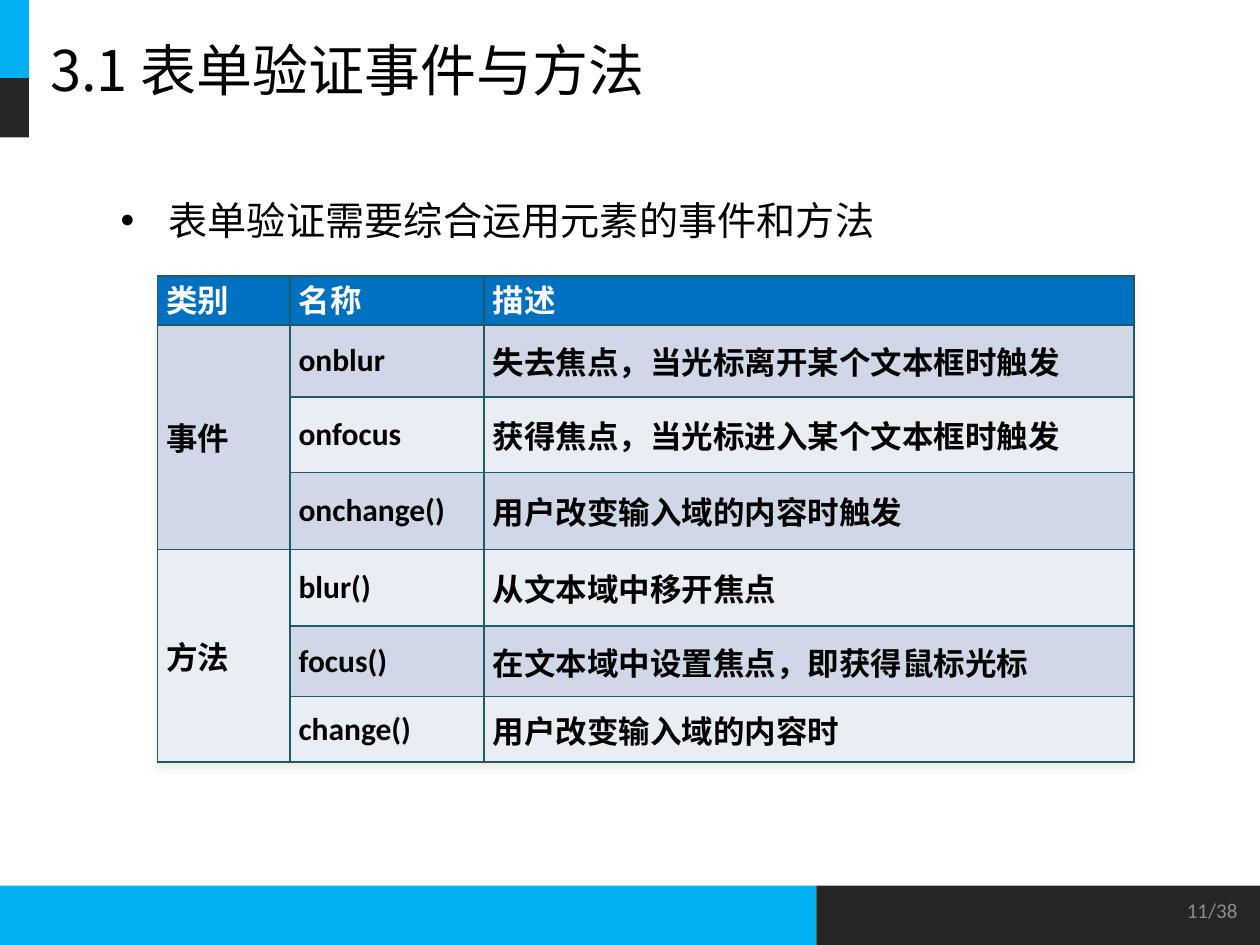
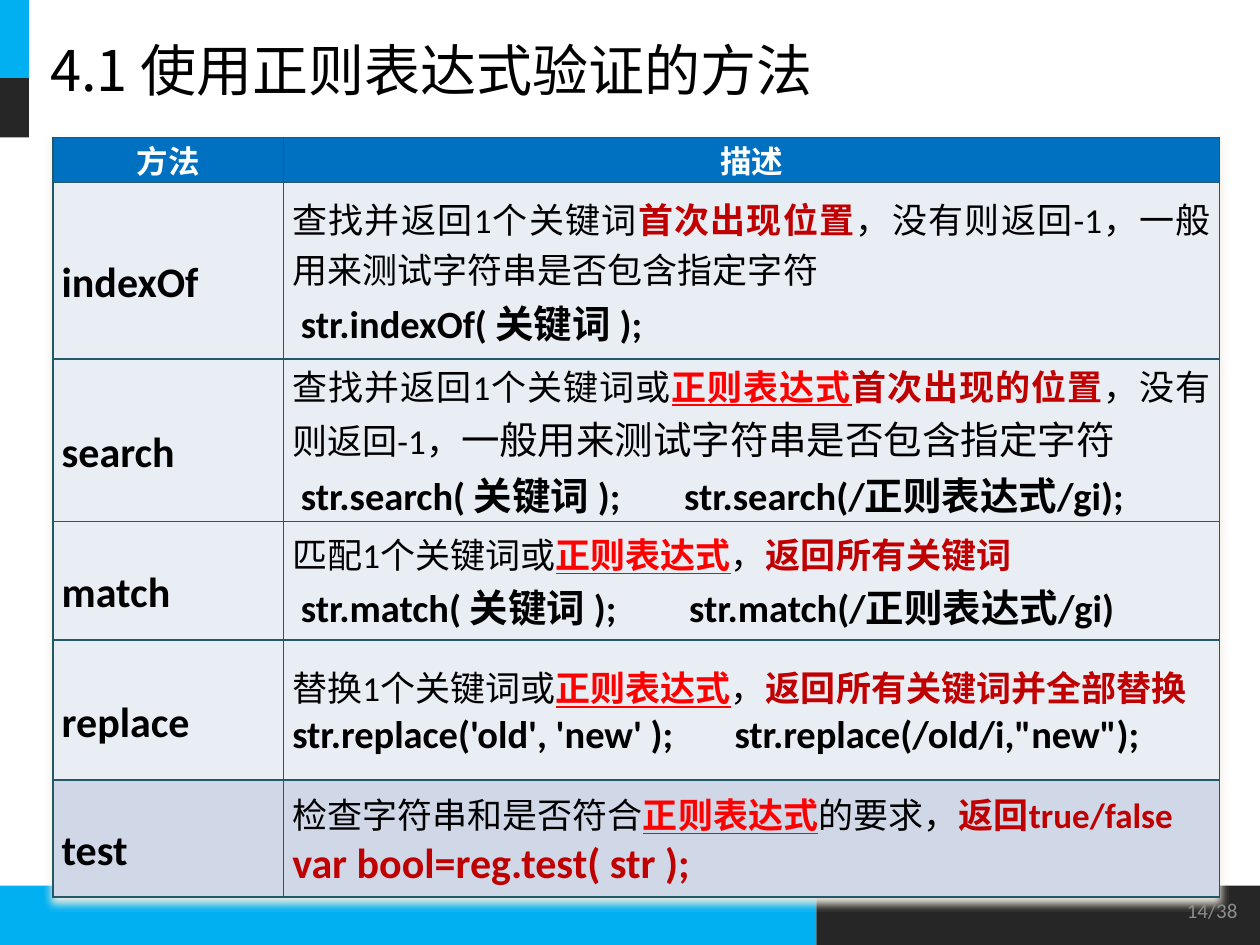
from lxml import etree
from pptx import Presentation
from pptx.dml.color import RGBColor
from pptx.enum.shapes import MSO_SHAPE as Shape
from pptx.enum.text import MSO_ANCHOR as Anchor, PP_ALIGN as Align
from pptx.oxml.ns import qn
from pptx.util import Inches, Pt

COLORS = {
    "sky": "00B0F0", "charcoal": "262626", "ink": "000000", "white": "FFFFFF",
    "header": "0070C0", "band": "D0D8E8", "pale": "E9EDF4", "grid": "215968",
    "page": "8C8C8C", "key": "C00000", "regex": "FF0000", "shadow": "EEECE1",
}
LATIN, CJK = "Calibri", "Noto Sans CJK SC"

RUN_STYLES = {
    "plain": {},
    "key": {"color": "key", "bold": True},
    "regex": {"color": "regex", "bold": True, "underline": True},
    "code": {"bold": True},
}

EVENT_COLS = [1.05, 1.54, 5.16]
EVENT_ROWS = [0.39, 0.57, 0.6, 0.61, 0.61, 0.56, 0.52]
EVENT_HEADER = ["类别", "名称", "描述"]
EVENT_GROUPS = {
    "事件": [("onblur", "失去焦点，当光标离开某个文本框时触发"),
           ("onfocus", "获得焦点，当光标进入某个文本框时触发"),
           ("onchange()", "用户改变输入域的内容时触发")],
    "方法": [("blur()", "从文本域中移开焦点"),
           ("focus()", "在文本域中设置焦点，即获得鼠标光标"),
           ("change()", "用户改变输入域的内容时")],
}

METHOD_COLS = [1.83, 7.43]
METHOD_ROWS = [0.36, 1.4, 1.29, 0.94, 1.11, 0.93]
METHOD_HEADER = ["方法", "描述"]
REGEX = ("正则表达式", "regex")
METHODS = [
    ("indexOf",
     [("查找并返回1个关键词", "plain"), ("首次出现位置", "key"),
      ("，没有则返回-1，一般用来测试字符串是否包含指定字符", "plain")],
     (" str.indexOf( 关键词 );", "code", 22), None),
    ("search",
     [("查找并返回1个关键词或", "plain"), REGEX, ("首次出现的位置", "key"),
      ("，没有则返回-1，", "plain"),
      ("一般用来测试字符串是否包含指定字符", "plain", 22)],
     (" str.search( 关键词 );\tstr.search(/正则表达式/gi);", "code", 22), 3.11),
    ("match",
     [("匹配1个关键词或", "plain"), REGEX, ("，", "plain"),
      ("返回所有关键词", "key")],
     (" str.match( 关键词 );\tstr.match(/正则表达式/gi)", "code", 22), 3.15),
    ("replace",
     [("替换1个关键词或", "plain"), REGEX, ("，", "plain"),
      ("返回所有关键词并全部替换", "key")],
     ("str.replace('old', 'new' );\tstr.replace(/old/i,\"new\");", "code", 22), 3.51),
    ("test",
     [("检查字符串和是否符合", "plain"), REGEX, ("的要求，", "plain"),
      ("返回true/false", "key")],
     ("var bool=reg.test( str );", "key", 24), None),
]


def rgb(name):
    return RGBColor.from_string(COLORS[name])


def style_paragraph(paragraph, size, color="ink", latin=LATIN, bold=None,
                    align=None, spacing=None, before=None):
    font = paragraph.font
    font.name, font.size, font.bold = latin, Pt(size), bold
    font.color.rgb = rgb(color)
    defaults = paragraph._p.pPr.find(qn("a:defRPr"))
    etree.SubElement(defaults, qn("a:ea"), typeface=CJK)
    if align is not None:
        paragraph.alignment = align
    if spacing:
        paragraph.line_spacing = spacing
    if before:
        paragraph.space_before = Pt(before)


def add_run(paragraph, text, style, size=None):
    look = RUN_STYLES[style]
    run = paragraph.add_run()
    run.text = text
    run.font.bold = look.get("bold")
    run.font.underline = look.get("underline")
    if size:
        run.font.size = Pt(size)
    if "color" in look:
        run.font.color.rgb = rgb(look["color"])


def before_defaults(paragraph, tag, **attributes):
    element = etree.Element(qn(tag), **attributes)
    paragraph._p.pPr.find(qn("a:defRPr")).addprevious(element)
    return element


def add_text(slide, box, text, anchor=Anchor.TOP, **look):
    frame = slide.shapes.add_textbox(*map(Inches, box)).text_frame
    frame.word_wrap = True
    frame.vertical_anchor = anchor
    paragraph = frame.paragraphs[0]
    paragraph.text = text
    style_paragraph(paragraph, **look)
    return paragraph


def add_band(slide, box, color):
    band = slide.shapes.add_shape(Shape.RECTANGLE, *map(Inches, box))
    band.shadow.inherit = False
    band.fill.solid()
    band.fill.fore_color.rgb = rgb(color)
    band.line.fill.background()


def add_frame(deck, title):
    slide = deck.slides.add_slide(deck.slide_layouts[6])
    add_band(slide, (0, 7.03, 6.48, 0.47), "sky")
    add_band(slide, (6.48, 7.03, 3.52, 0.47), "charcoal")
    add_band(slide, (0, 0, 0.23, 0.62), "sky")
    add_band(slide, (0, 0.62, 0.23, 0.47), "charcoal")
    add_text(slide, (0.3, 0, 9.39, 1.09), title, Anchor.MIDDLE, size=32, latin=CJK)
    return slide


def add_page_number(slide, page):
    add_text(slide, (7.59, 7.02, 2.33, 0.4), f"{page}/38", Anchor.MIDDLE,
             size=12, color="page", align=Align.RIGHT)


def add_bullet(slide, box, text):
    paragraph = add_text(slide, box, text, size=22.4, latin=CJK,
                         spacing=1.3, before=4.5)
    properties = paragraph._p.pPr
    properties.set("marL", str(Inches(0.38)))
    properties.set("indent", str(-Inches(0.38)))
    before_defaults(paragraph, "a:buFont", typeface="Arial")
    before_defaults(paragraph, "a:buChar", char="•")


def format_cell(cell, fill, anchor=Anchor.MIDDLE):
    cell.margin_left = cell.margin_right = Inches(0.07)
    cell.margin_top = cell.margin_bottom = 0
    cell.vertical_anchor = anchor
    properties = cell._tc.get_or_add_tcPr()
    for side in ("a:lnL", "a:lnR", "a:lnT", "a:lnB"):
        line = etree.SubElement(properties, qn(side), w=str(Pt(1)))
        paint = etree.SubElement(line, qn("a:solidFill"))
        etree.SubElement(paint, qn("a:srgbClr"), val=COLORS["grid"])
    cell.fill.solid()
    cell.fill.fore_color.rgb = rgb(fill)


def fill_cell(cell, text, **look):
    paragraph = cell.text_frame.paragraphs[0]
    paragraph.text = text
    style_paragraph(paragraph, bold=True, **look)


def add_grid(slide, left, top, widths, heights, header, fills, align=None):
    box = map(Inches, (left, top, sum(widths), sum(heights)))
    table = slide.shapes.add_table(len(heights), len(widths), *box).table
    table.horz_banding = False
    effects = etree.Element(qn("a:effectLst"))
    shadow = etree.SubElement(effects, qn("a:outerShdw"), blurRad=str(Inches(0.06)),
                              dist=str(Inches(0.04)), dir="5400000")
    etree.SubElement(shadow, qn("a:srgbClr"), val=COLORS["shadow"])
    table._tbl.tblPr.insert(0, effects)
    for column, width in zip(table.columns, widths):
        column.width = Inches(width)
    for row, height, fill in zip(table.rows, heights, ["header"] + fills):
        row.height = Inches(height)
        anchor = Anchor.TOP if fill == "header" else Anchor.MIDDLE
        for cell in row.cells:
            format_cell(cell, fill, anchor)
    for column, label in enumerate(header):
        fill_cell(table.cell(0, column), label, size=18, color="white",
                  align=align, before=3.6)
    return table


def add_event_table(slide, left, top):
    fills = ["band", "pale"] * 3
    table = add_grid(slide, left, top, EVENT_COLS, EVENT_ROWS, EVENT_HEADER, fills)
    row = 1
    for group, entries in EVENT_GROUPS.items():
        group_cell = table.cell(row, 0)
        group_cell.merge(table.cell(row + len(entries) - 1, 0))
        fill_cell(group_cell, group, size=18, before=3.6)
        for entry in entries:
            for column, text in enumerate(entry, 1):
                fill_cell(table.cell(row, column), text, size=18, before=3.6)
            row += 1


def add_method_table(slide, left, top):
    fills = ["pale"] * 4 + ["band"]
    table = add_grid(slide, left, top, METHOD_COLS, METHOD_ROWS, METHOD_HEADER,
                     fills, Align.CENTER)
    for row, (method, summary, usage, tab) in enumerate(METHODS, 1):
        fill_cell(table.cell(row, 0), method, size=24, align=Align.JUSTIFY, spacing=1.5)
        frame = table.cell(row, 1).text_frame
        description = frame.paragraphs[0]
        style_paragraph(description, 20, align=Align.JUSTIFY)
        for part in summary:
            add_run(description, *part)
        text, style, size = usage
        example = frame.add_paragraph()
        style_paragraph(example, size, align=Align.JUSTIFY)
        add_run(example, text, style)
        if tab:
            stops = before_defaults(example, "a:tabLst")
            etree.SubElement(stops, qn("a:tab"), pos=str(Inches(tab)), algn="l")


def build_event_slide(deck):
    slide = add_frame(deck, "3.1 表单验证事件与方法")
    add_bullet(slide, (0.86, 1.4, 8.36, 0.64), "表单验证需要综合运用元素的事件和方法")
    add_event_table(slide, 1.25, 2.19)
    add_page_number(slide, 11)


def build_method_slide(deck):
    slide = add_frame(deck, "4.1 使用正则表达式验证的方法")
    add_method_table(slide, 0.42, 1.09)
    add_page_number(slide, 14)


def main():
    deck = Presentation()
    deck.slide_width, deck.slide_height = Inches(10), Inches(7.5)
    build_event_slide(deck)
    build_method_slide(deck)
    deck.save("out.pptx")


if __name__ == "__main__":
    main()
